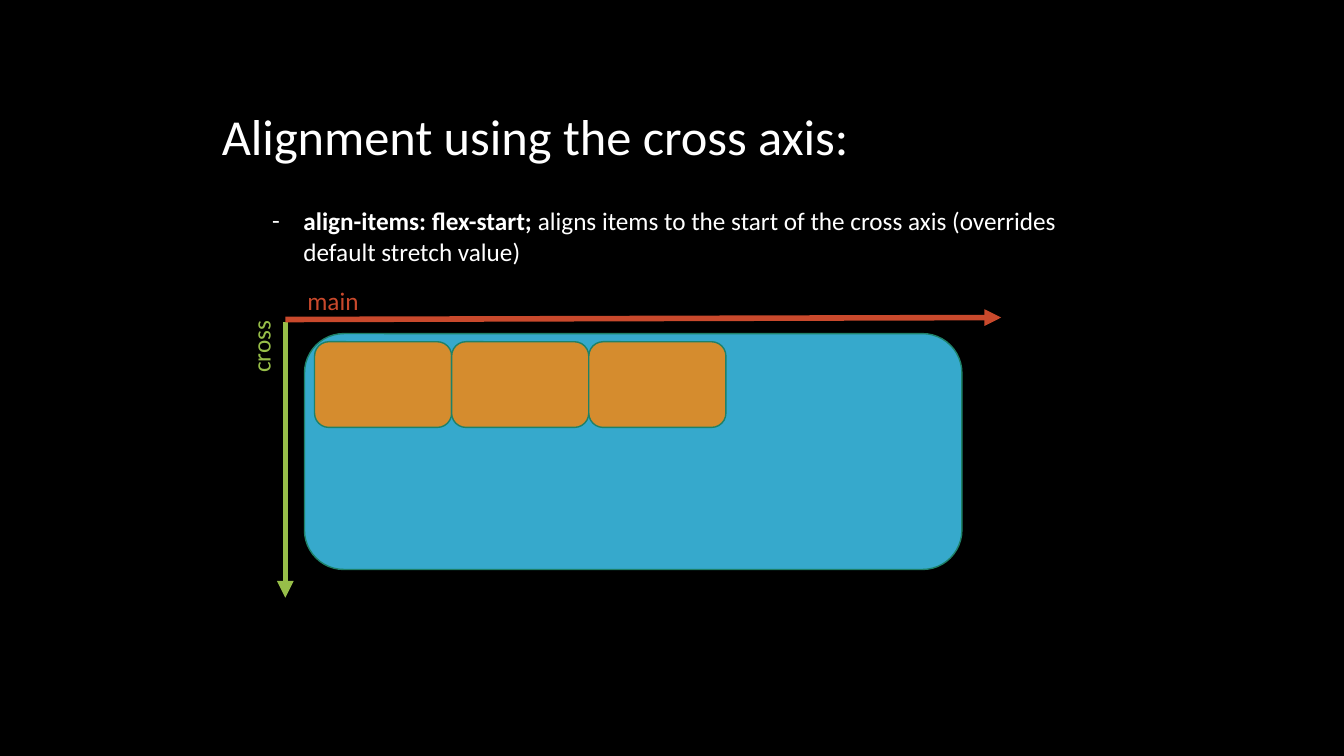
from dataclasses import dataclass

from lxml.etree import SubElement
from pptx import Presentation
from pptx.dml.color import RGBColor
from pptx.enum.shapes import MSO_CONNECTOR, MSO_SHAPE
from pptx.enum.text import MSO_ANCHOR, MSO_AUTO_SIZE, PP_ALIGN
from pptx.oxml.ns import qn
from pptx.slide import Slide
from pptx.text.text import TextFrame
from pptx.util import Inches, Pt

BLACK = RGBColor(0x00, 0x00, 0x00)
WHITE = RGBColor(0xFF, 0xFF, 0xFF)
BLUE = RGBColor(0x36, 0xA9, 0xCC)
ORANGE = RGBColor(0xD5, 0x8C, 0x2E)
TEAL = RGBColor(0x1E, 0x81, 0x68)
GREEN = RGBColor(0x97, 0xBE, 0x49)
RED = RGBColor(0xC9, 0x49, 0x2C)

FONT = "Calibri"
ITEM_COUNT = 3
ITEM_LEFT, ITEM_WIDTH = 3.12, 1.36


@dataclass
class Box:
    left: float
    top: float
    width: float
    height: float
    fill: RGBColor


@dataclass
class Axis:
    start: tuple[float, float]
    end: tuple[float, float]
    color: RGBColor
    label: str
    label_left: float
    label_top: float
    rotation: int


def place(shape, left: float, top: float, width: float, height: float) -> None:
    shape.left, shape.top = Inches(left), Inches(top)
    shape.width, shape.height = Inches(width), Inches(height)


def prepare_frame(frame: TextFrame, wrap: bool = True) -> None:
    frame.word_wrap = wrap
    frame.auto_size = MSO_AUTO_SIZE.SHAPE_TO_FIT_TEXT
    frame.vertical_anchor = MSO_ANCHOR.TOP
    frame.paragraphs[0].alignment = PP_ALIGN.LEFT


def add_run(frame: TextFrame, text: str, size: int, color: RGBColor,
            bold: bool = False) -> None:
    run = frame.paragraphs[0].add_run()
    run.text = text
    run.font.name = FONT
    run.font.size = Pt(size)
    run.font.bold = bold
    run.font.color.rgb = color


def draw_box(slide: Slide, box: Box) -> None:
    shape = slide.shapes.add_shape(
        MSO_SHAPE.ROUNDED_RECTANGLE, Inches(box.left), Inches(box.top),
        Inches(box.width), Inches(box.height))
    shape.shadow.inherit = False
    shape.fill.solid()
    shape.fill.fore_color.rgb = box.fill
    shape.line.color.rgb = TEAL
    shape.line.width = Pt(1)


def draw_axis(slide: Slide, axis: Axis) -> None:
    arrow = slide.shapes.add_connector(
        MSO_CONNECTOR.STRAIGHT, *map(Inches, axis.start + axis.end))
    arrow.line.color.rgb = axis.color
    arrow.line.width = Pt(4)
    SubElement(arrow.line._get_or_add_ln(), qn("a:tailEnd"), type="triangle")
    SubElement(arrow._element.spPr, qn("a:effectLst"))

    label = slide.shapes.add_textbox(
        Inches(axis.label_left), Inches(axis.label_top), Inches(0.81), Inches(0.4))
    label.rotation = axis.rotation
    prepare_frame(label.text_frame)
    add_run(label.text_frame, axis.label, 18, axis.color)


def main() -> None:
    prs = Presentation()
    prs.slide_width, prs.slide_height = Inches(13.33), Inches(7.5)
    slide = prs.slides.add_slide(prs.slide_layouts[1])
    slide.background.fill.solid()
    slide.background.fill.fore_color.rgb = BLACK

    # Heading
    heading = slide.shapes.title
    place(heading, 2.1, 0.99, 6.6, 0.71)
    prepare_frame(heading.text_frame, wrap=False)
    add_run(heading.text_frame, "Alignment using the cross axis:", 36, WHITE)

    # Description with a dash bullet
    description = slide.placeholders[1]
    place(description, 2.6, 1.99, 8.26, 0.71)
    prepare_frame(description.text_frame)
    paragraph = description.text_frame.paragraphs[0]
    properties = paragraph._p.get_or_add_pPr()
    properties.set("marL", str(Inches(0.31)))
    properties.set("indent", str(Inches(-0.31)))
    SubElement(properties, qn("a:buFont"), typeface=FONT)
    SubElement(properties, qn("a:buChar"), char="-")
    paragraph.space_before = Pt(0)
    add_run(description.text_frame, "align-items: flex-start;", 18, WHITE, bold=True)
    add_run(description.text_frame,
            " aligns items to the start of the cross axis "
            "(overrides default stretch value)", 18, WHITE)

    # Flex container and its items
    draw_box(slide, Box(3.02, 3.31, 6.52, 2.34, BLUE))
    for index in range(ITEM_COUNT):
        draw_box(slide, Box(ITEM_LEFT + index * ITEM_WIDTH, 3.39,
                            ITEM_WIDTH, 0.85, ORANGE))

    # Axes with their labels
    axes = [
        Axis((2.83, 3.19), (2.83, 5.93), GREEN, "cross", 2.18, 3.19, 270),
        Axis((2.83, 3.17), (9.93, 3.15), RED, "main", 2.95, 2.78, 0),
    ]
    for axis in axes:
        draw_axis(slide, axis)

    prs.save("out.pptx")


if __name__ == "__main__":
    main()
